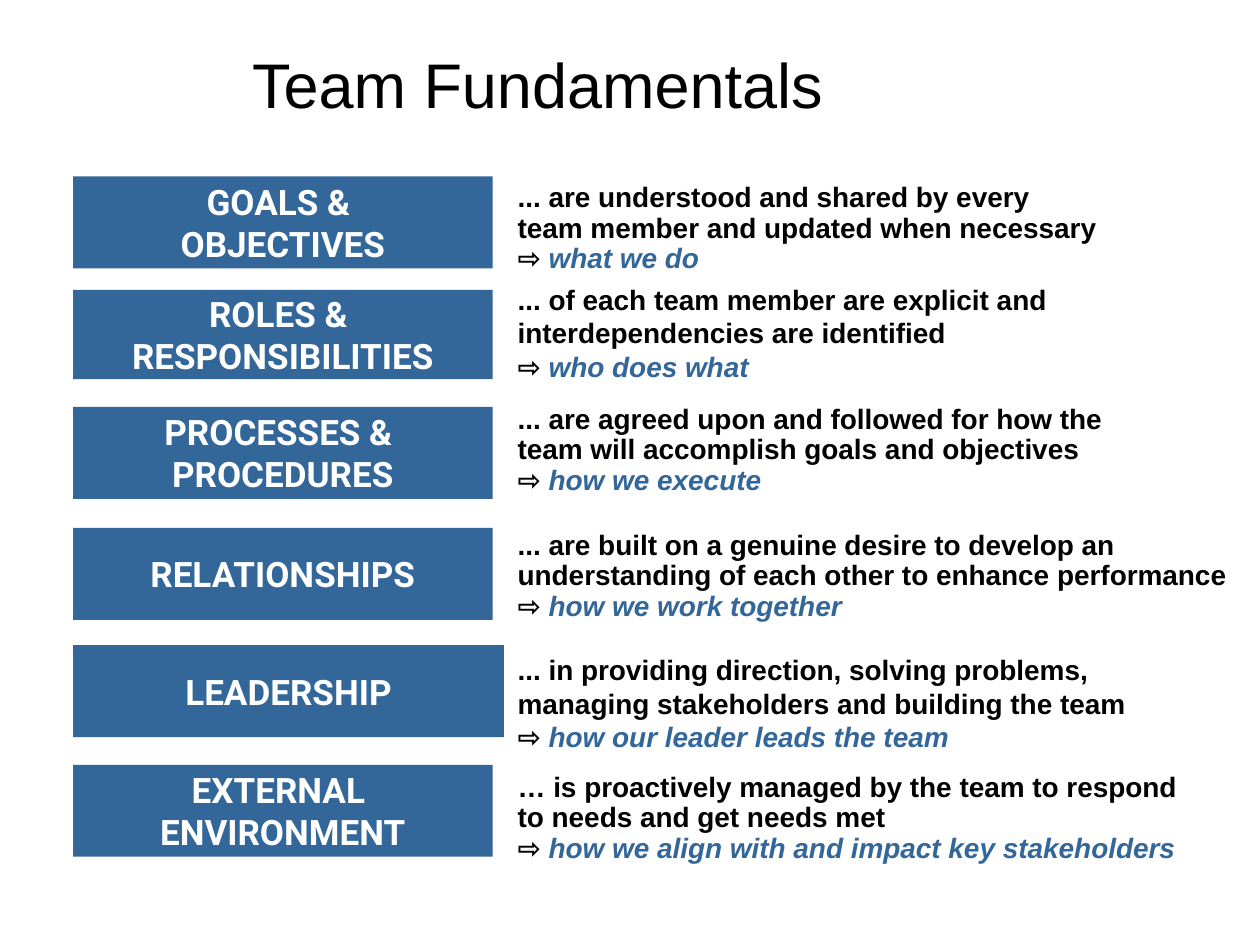
"""Build the Team Fundamentals slide: six labelled blocks with descriptions."""
from pptx import Presentation
from pptx.dml.color import RGBColor
from pptx.enum.shapes import MSO_SHAPE
from pptx.enum.text import MSO_ANCHOR, PP_ALIGN
from pptx.util import Inches, Pt

BLUE, BLACK, WHITE = "336699", "000000", "FFFFFF"

FUNDAMENTALS = [
    dict(label=["GOALS & ", "OBJECTIVES"], block=(1.4, 3.33, 0.73),
         text="... are understood and shared by every team member and updated when necessary",
         summary="what we do", body=(1.41, 4.83, 0.82), spacing=0.9),
    dict(label=["ROLES & ", "RESPONSIBILITIES"], block=(2.3, 3.33, 0.71),
         text="... of each team member are explicit and interdependencies are identified",
         summary="who does what", body=(2.19, 4.99, 0.9), spacing=1.0),
    dict(label=["PROCESSES & ", "PROCEDURES"], block=(3.23, 3.33, 0.73),
         text="... are agreed upon and followed for how the team will accomplish goals and objectives",
         summary="how we execute", body=(3.17, 5.24, 0.82), spacing=0.9),
    dict(label=["RELATIONSHIPS"], block=(4.19, 3.33, 0.73),
         text="... are built on a genuine desire to develop an understanding of each other "
              "to enhance performance",
         summary="how we work together", body=(4.17, 5.99, 0.82), spacing=0.9),
    dict(label=["LEADERSHIP"], block=(5.12, 3.42, 0.73),
         text="... in providing direction, solving problems, managing stakeholders "
              "and building the team",
         summary="how our leader leads the team", body=(5.13, 5.61, 0.9), spacing=1.0),
    dict(label=["EXTERNAL ", "ENVIRONMENT"], block=(6.07, 3.33, 0.73),
         text="… is proactively managed by the team to respond to needs and get needs met",
         summary="how we align with and impact key stakeholders",
         body=(6.09, 5.61, 0.82), spacing=0.9),
]


def color(value):
    return RGBColor.from_string(value)


def add_text(paragraph, text, size=16, font="Arial", fill=BLACK, bold=True, italic=False):
    run = paragraph.add_run()
    run.text = text
    run.font.size, run.font.name = Pt(size), font
    run.font.bold, run.font.italic = bold, italic
    run.font.color.rgb = color(fill)


class FundamentalsSlide:
    def __init__(self, presentation):
        self.slide = presentation.slides.add_slide(presentation.slide_layouts[5])
        self.block_left = Inches(0.58)
        self.body_left = Inches(4.01)

    def title(self, text):
        shape = self.slide.shapes.title
        shape.left, shape.top = Inches(0.51), Inches(0.33)
        shape.width, shape.height = Inches(7.65), Inches(0.67)
        paragraph = shape.text_frame.paragraphs[0]
        paragraph.alignment = PP_ALIGN.CENTER
        add_text(paragraph, text, size=36, bold=False)

    def block(self, lines, top, width, height):
        shape = self.slide.shapes.add_shape(
            MSO_SHAPE.RECTANGLE, self.block_left, Inches(top), Inches(width), Inches(height))
        shape.shadow.inherit = False
        shape.fill.solid()
        shape.fill.fore_color.rgb = color(BLUE)
        shape.line.fill.background()
        frame = shape.text_frame
        frame.word_wrap = False
        frame.vertical_anchor = MSO_ANCHOR.MIDDLE
        for index, line in enumerate(lines):
            paragraph = frame.add_paragraph() if index else frame.paragraphs[0]
            paragraph.alignment = PP_ALIGN.CENTER
            add_text(paragraph, line, size=20, font="Roboto", fill=WHITE)

    def description(self, text, summary, spacing, top, width, height):
        shape = self.slide.shapes.add_textbox(
            self.body_left, Inches(top), Inches(width), Inches(height))
        frame = shape.text_frame
        frame.word_wrap = True
        add_text(frame.paragraphs[0], text)
        conclusion = frame.add_paragraph()
        add_text(conclusion, "⇨ ")
        add_text(conclusion, summary, fill=BLUE, italic=True)
        for paragraph in frame.paragraphs:
            paragraph.line_spacing = spacing


def main():
    presentation = Presentation()
    presentation.slide_width, presentation.slide_height = Inches(10), Inches(7.5)
    page = FundamentalsSlide(presentation)
    page.title("Team Fundamentals ")
    for item in FUNDAMENTALS:
        page.block(item["label"], *item["block"])
        page.description(item["text"], item["summary"], item["spacing"], *item["body"])
    presentation.save("out.pptx")


if __name__ == "__main__":
    main()
